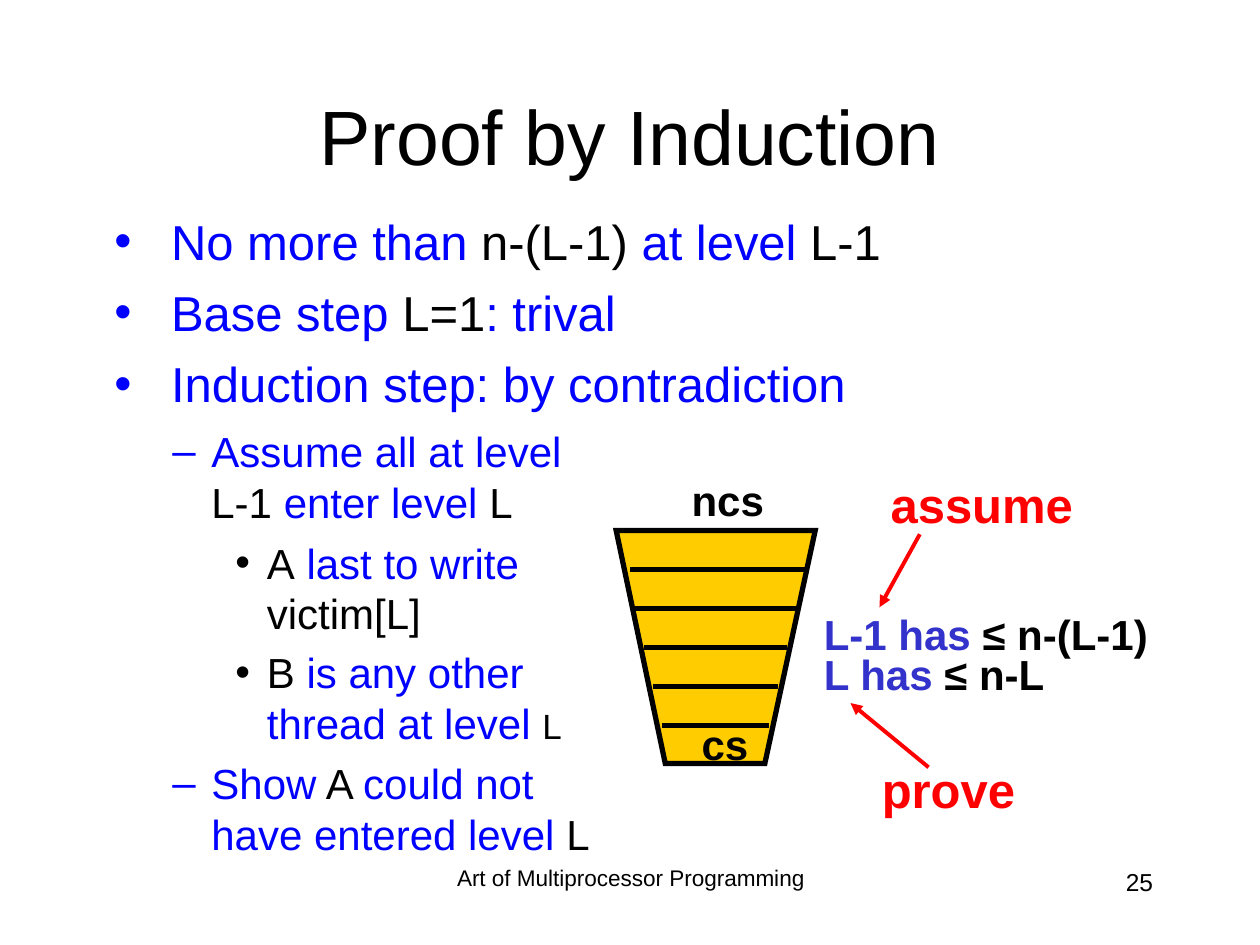
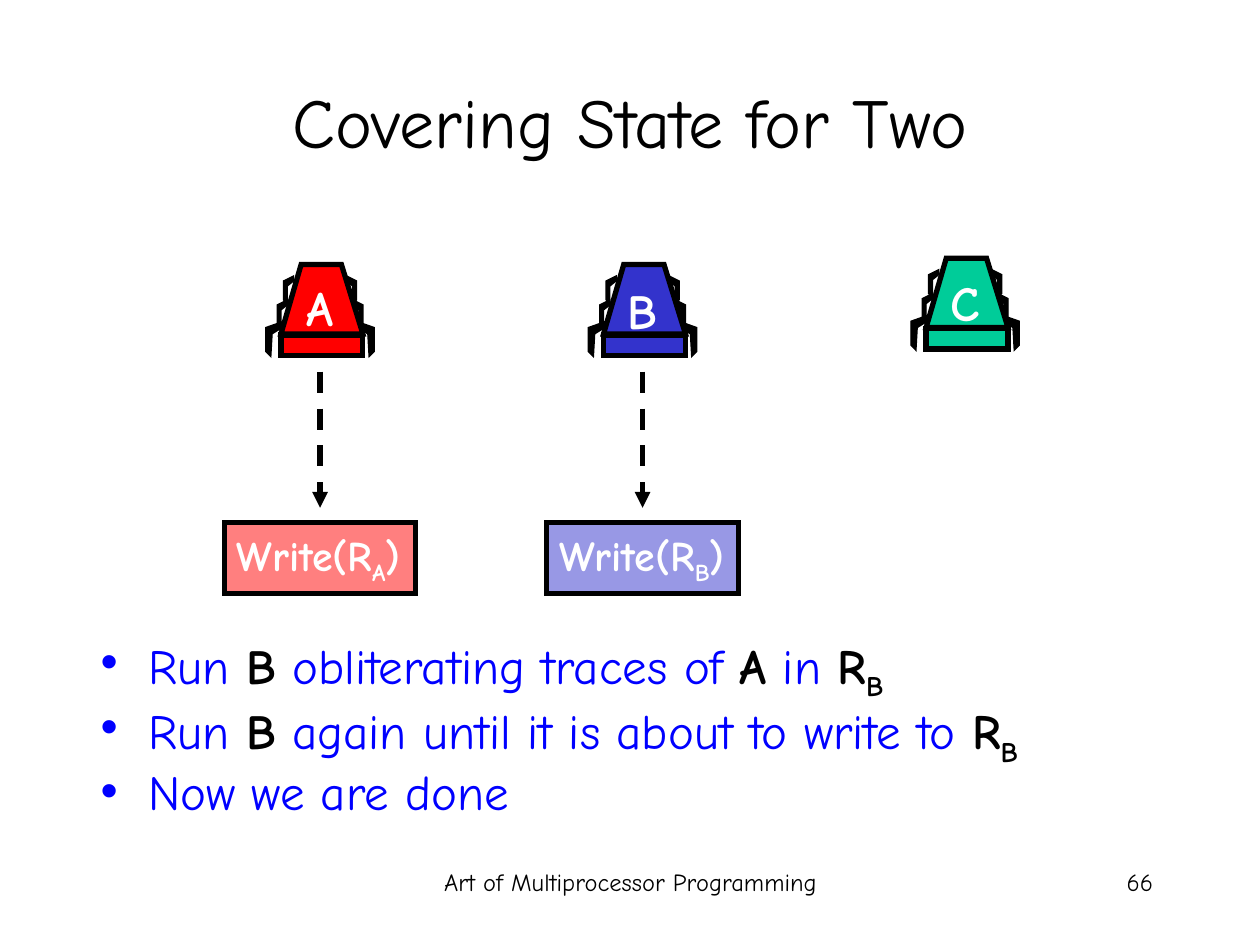
import pptx
import pptx.dml.color
import pptx.enum.dml
import pptx.enum.shapes
import pptx.enum.text
import pptx.oxml
import pptx.oxml.ns
import pptx.util
from lxml import etree

Inches = pptx.util.Inches
Pt = pptx.util.Pt
RGBColor = pptx.dml.color.RGBColor
ALIGN = pptx.enum.text.PP_ALIGN
ANCHOR = pptx.enum.text.MSO_ANCHOR
qn = pptx.oxml.ns.qn

BLACK = RGBColor(0x00, 0x00, 0x00)
WHITE = RGBColor(0xFF, 0xFF, 0xFF)
BLUE = RGBColor(0x00, 0x00, 0xFF)
INDIGO = RGBColor(0x33, 0x33, 0xCC)
RED = RGBColor(0xFF, 0x00, 0x00)
GREEN = RGBColor(0x00, 0xCC, 0x99)
GOLD = RGBColor(0xFF, 0xCC, 0x00)

ARIAL = "Arial"
COMIC = "Comic Neue"

# Run styles that differ from the paragraph
DARK = {"color": BLACK}
STRONG = {"color": BLACK, "bold": True}
SUB = {"color": BLACK, "bold": True, "sub": True}

# Robot legs on the left side, relative to the robot's corner
ROBOT_WIDTH = 0.86
LOWER_LEG = [(0.14, 0.45), (0, 0.5), (0, 0.69), (0.04, 0.73), (0.05, 0.55), (0.13, 0.5)]
UPPER_LEG = [(0.22, 0.09), (0.14, 0.13), (0.14, 0.28), (0.17, 0.31), (0.17, 0.17), (0.22, 0.13)]
MIDDLE_LEG = [(x - 0.05, y + 0.19) for x, y in UPPER_LEG]


# ---- Text ----
def add_bullet(paragraph, char, color, margin, hang):
    p_pr = paragraph._p.get_or_add_pPr()
    p_pr.set("marL", str(Inches(margin)))
    p_pr.set("indent", str(-Inches(hang)))
    bullet_color = etree.SubElement(p_pr, qn("a:buClr"))
    etree.SubElement(bullet_color, qn("a:srgbClr"), val=str(color))
    etree.SubElement(p_pr, qn("a:buFont"), typeface=ARIAL)
    etree.SubElement(p_pr, qn("a:buChar"), char=char)


def write_text(frame, paragraphs, size=24, font=ARIAL, color=BLACK, bold=False,
               align=ALIGN.LEFT, anchor=ANCHOR.TOP, wrap=False, spacing=None):
    """Each paragraph is (runs, layout); each run is a string or (string, style)."""
    frame.word_wrap = wrap
    frame.vertical_anchor = anchor
    for index, (runs, layout) in enumerate(paragraphs):
        paragraph = frame.add_paragraph() if index else frame.paragraphs[0]
        if "bullet" in layout:
            add_bullet(paragraph, *layout["bullet"])
        if index and "before" in layout:
            paragraph.space_before = Pt(layout["before"])
        if spacing:
            paragraph.line_spacing = spacing
        paragraph.alignment = align
        for item in runs:
            words, style = (item, {}) if isinstance(item, str) else item
            run = paragraph.add_run()
            run.text = words
            run.font.name = font
            run.font.size = Pt(style.get("size", size))
            run.font.bold = style.get("bold", bold)
            run.font.color.rgb = style.get("color", color)
            if style.get("sub"):
                run._r.get_or_add_rPr().set("baseline", "-25000")


def add_text(shapes, box, paragraphs, **text_format):
    if isinstance(paragraphs, str):
        paragraphs = [([paragraphs], {})]
    frame = shapes.add_textbox(*map(Inches, box)).text_frame
    write_text(frame, paragraphs, **text_format)


# ---- Shapes ----
def paint(shape, fill, line_width, alpha=None):
    shape.shadow.inherit = False
    shape.fill.solid()
    shape.fill.fore_color.rgb = fill
    shape.line.color.rgb = BLACK
    shape.line.width = Pt(line_width)
    etree.SubElement(shape.line._get_or_add_ln(), qn("a:miter"), lim="800000")
    if alpha:
        tint = shape._element.spPr.find(qn("a:solidFill")).find(qn("a:srgbClr"))
        etree.SubElement(tint, qn("a:alpha"), val=str(alpha * 1000))


def add_polygon(shapes, corner, points, fill, line_width):
    left, top = corner
    (start_x, start_y), *rest = [(Inches(left + x), Inches(top + y)) for x, y in points]
    builder = shapes.build_freeform(start_x, start_y)
    builder.add_line_segments(rest, close=True)
    paint(builder.convert_to_shape(), fill, line_width)


def add_rect(shapes, box, fill, alpha=None):
    rect = shapes.add_shape(pptx.enum.shapes.MSO_SHAPE.RECTANGLE, *map(Inches, box))
    paint(rect, fill, 3, alpha)
    return rect


def add_line(shapes, start, end, color=BLACK, width=3, arrow=False, dashed=False):
    line = shapes.add_connector(pptx.enum.shapes.MSO_CONNECTOR.STRAIGHT,
                                *map(Inches, (*start, *end)))
    line.line.color.rgb = color
    line.line.width = Pt(width)
    if dashed:
        line.line.dash_style = pptx.enum.dml.MSO_LINE.DASH
    if arrow:
        etree.SubElement(line.line._get_or_add_ln(), qn("a:tailEnd"), type="triangle")
    etree.SubElement(line._element.spPr, qn("a:effectLst"))


# ---- Shared frame: title, footer, number ----
def add_frame(deck, title, title_box, title_size, number, font, footer_size, footer_spacing=None):
    shapes = deck.slides.add_slide(deck.slide_layouts[6]).shapes
    add_text(shapes, (3.42, 6.83, 3.17, 0.5), "Art of Multiprocessor Programming",
             size=footer_size, font=font, align=ALIGN.CENTER, wrap=True, spacing=footer_spacing)
    add_text(shapes, (7.17, 6.83, 2.08, 0.5), number,
             size=14, font=font, align=ALIGN.RIGHT, wrap=True)
    add_text(shapes, title_box, title, size=title_size, font=font,
             align=ALIGN.CENTER, anchor=ANCHOR.MIDDLE, wrap=True)
    return shapes


# ---- Slide 1 regions ----
def add_proof_steps(shapes, left, top):
    step = {"bullet": ("•", BLUE, 0.45, 0.45), "before": 7}
    add_text(shapes, (left, top, 6.4, 1.7), [
        (["No more than ", ("n-(L-1) ", DARK), "at level ", ("L-1", DARK)], step),
        (["Base step ", ("L=1", DARK), ": trival"], step),
        (["Induction step: by contradiction"], step),
    ], size=28, color=BLUE)

    dash = {"bullet": ("–", BLUE, 0.81, 0.31), "before": 6}
    dot = {"bullet": ("•", BLACK, 1.25, 0.25)}
    add_text(shapes, (left - 0.04, top + 1.7, 4.17, 3.82), [
        (["Assume all at level", (" L-1", DARK), " enter level ", ("L", DARK)], dash),
        ([("A", DARK), " last to write ", ("victim[L]", DARK)], {**dot, "before": 6}),
        ([("B", DARK), " is any other thread at level ", ("L", {**DARK, "size": 20})],
         {**dot, "before": 5}),
        (["Show", (" A ", DARK), "could not have entered level ", ("L", DARK)], dash),
    ], color=BLUE, wrap=True)


def add_funnel(shapes, left, top):
    outline = [(0, 0), (0.39, 1.85), (1.18, 1.85), (1.58, 0)]
    add_polygon(shapes, (left, top), outline, GOLD, 3)
    for level, inset in enumerate((0.11, 0.14, 0.22, 0.29, 0.36)):
        y = top + 0.31 * (level + 1)
        add_line(shapes, (left + inset, y), (left + 1.51 - 0.075 * level, y))
    add_text(shapes, (left + 0.5, top - 0.49, 0.9, 0.5), "ncs", bold=True)
    add_text(shapes, (left + 0.58, top + 1.44, 0.7, 0.5), "cs", bold=True)


def add_claims(shapes, left, top):
    claims = [("L-1 has ", "≤ n-(L-1)", 2.9), ("L has ", "≤ n-L", 2.1)]
    for row, (level, bound, width) in enumerate(claims):
        add_text(shapes, (left, top + 0.32 * row, width, 0.5),
                 [([level, (bound, DARK)], {})], color=INDIGO, bold=True)
    labels = [
        ("assume", (0.53, -1.06, 1.8), (0.86, -0.54), (0.54, 0.04)),
        ("prove", (0.46, 1.2, 1.4), (0.93, 1.31), (0.31, 0.8)),
    ]
    for label, (x, y, width), start, end in labels:
        add_text(shapes, (left + x, top + y, width, 0.57), label, size=28, color=RED, bold=True)
        add_line(shapes, (left + start[0], top + start[1]), (left + end[0], top + end[1]),
                 RED, 2.25, arrow=True)


def build_induction_slide(deck):
    shapes = add_frame(deck, "Proof by Induction", (0.75, 0.51, 8.5, 1.12), 44,
                       "25", ARIAL, 12.9, 0.9)
    add_proof_steps(shapes, 0.81, 1.63)
    add_funnel(shapes, 4.89, 4.21)
    add_claims(shapes, 6.44, 4.78)


# ---- Slide 2 regions ----
def add_robot(shapes, left, top, name, color, name_drop):
    robot = shapes.add_group_shape().shapes
    for leg in (LOWER_LEG, MIDDLE_LEG, UPPER_LEG):
        mirrored = [(ROBOT_WIDTH - x, y) for x, y in leg]
        for points in (leg, mirrored):
            add_polygon(robot, (left, top), points, BLACK, 0.75)
    add_polygon(robot, (left, top), [(0.12, 0.55), (0.28, 0), (0.6, 0), (0.77, 0.55)], color, 3)
    add_rect(robot, (left + 0.12, top + 0.56, 0.65, 0.16), color)
    add_text(robot, (left + 0.18, top + name_drop, 0.5, 0.57), name,
             size=28, font=COMIC, color=WHITE, bold=True, align=ALIGN.CENTER)


def add_pending_write(shapes, left, top, register, color):
    """Dashed arrow from a robot at the given corner down to its write."""
    center = left + 0.43
    write = add_rect(shapes, (center - 0.76, top + 2.05, 1.52, 0.56), color, alpha=50)
    write_text(write.text_frame,
               [(["Write(R", (register, {"sub": True, "bold": True}), ")"], {})],
               font=COMIC, color=WHITE, bold=True)
    add_line(shapes, (center, top + 0.85), (center, top + 1.93), arrow=True, dashed=True)


def add_conclusions(shapes, box):
    point = {"bullet": ("•", BLUE, 0.38, 0.38), "before": 7}
    register = [("R", STRONG), ("B", SUB)]
    add_text(shapes, box, [
        (["Run ", ("B", STRONG), " obliterating traces of ", ("A", STRONG), " in ", *register],
         point),
        (["Run ", ("B", STRONG), " again until it is about to write to ", *register], point),
        (["Now we are done"], point),
    ], size=28, font=COMIC, color=BLUE, wrap=True, spacing=0.8)


def build_covering_slide(deck):
    shapes = add_frame(deck, "Covering State for Two", (0.75, 0.33, 8.5, 1.25), 40,
                       "66", COMIC, 14)
    add_conclusions(shapes, (0.7, 5.04, 8.48, 1.63))
    threads = [("A", RED, 2.1, 0.05, True), ("B", INDIGO, 2.1, 0.08, True),
               ("C", GREEN, 2.05, 0.06, False)]
    for index, (name, color, top, name_drop, writes) in enumerate(threads):
        left = 2.11 + 2.56 * index
        add_robot(shapes, left, top, name, color, name_drop)
        if writes:
            add_pending_write(shapes, left, top, name, color)


def main():
    deck = pptx.Presentation()
    deck.slide_width, deck.slide_height = Inches(10), Inches(7.5)
    build_induction_slide(deck)
    build_covering_slide(deck)
    deck.save("out.pptx")


if __name__ == "__main__":
    main()
